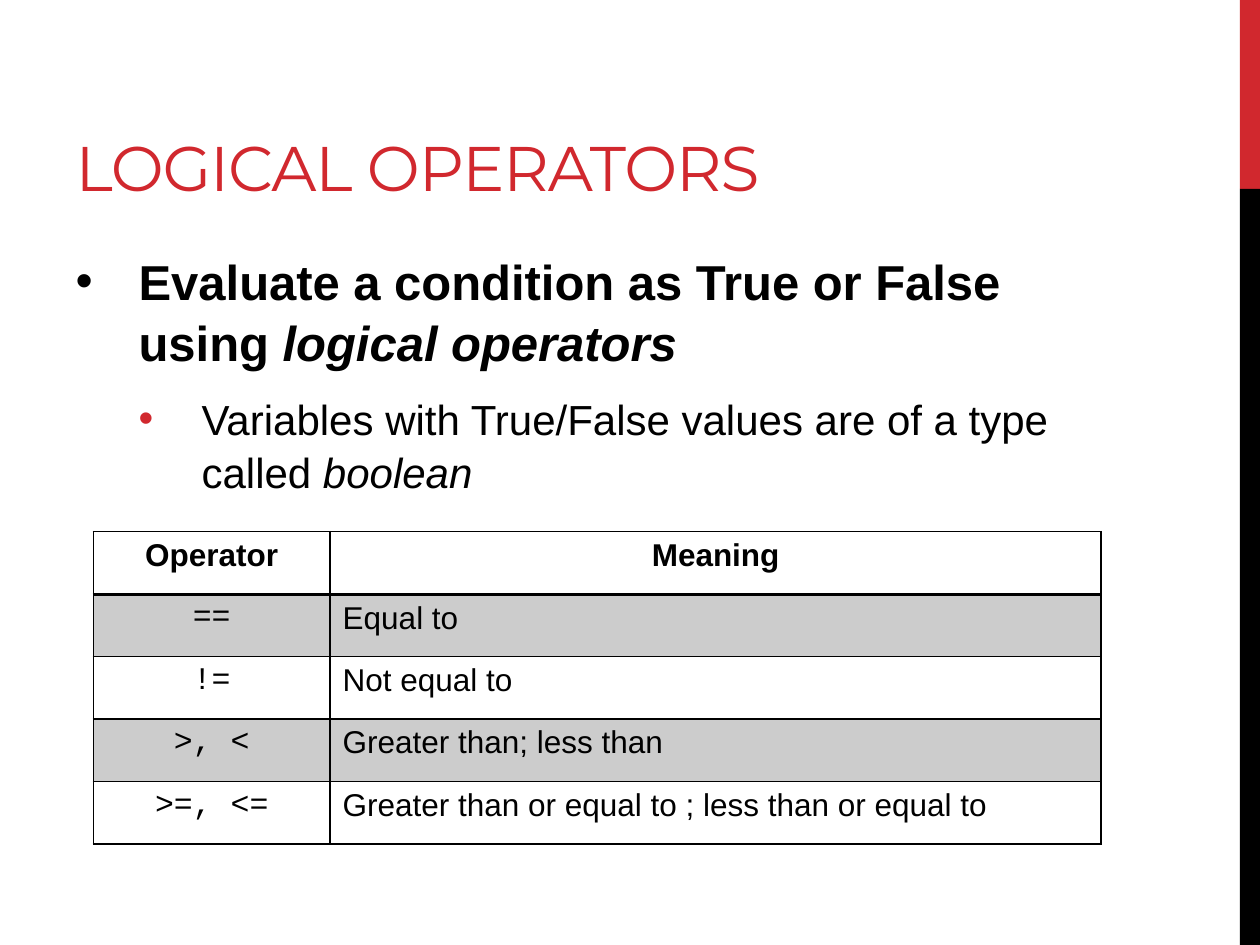
from dataclasses import dataclass
from lxml.etree import SubElement
from pptx import Presentation
from pptx.dml.color import RGBColor as RGB
from pptx.enum.text import MSO_ANCHOR as Anchor, MSO_AUTO_SIZE as AutoSize, PP_ALIGN as Align
from pptx.enum.shapes import MSO_SHAPE as Shape
from pptx.oxml.ns import qn
from pptx.util import Inches, Pt


@dataclass(frozen=True)
class Theme:
    accent: str = "D1282E"
    ink: str = "000000"
    title_font: str = "Montserrat"
    body_font: str = "Arial"
    code_font: str = "Courier New"
    title_size: int = 36
    body_sizes: tuple = (28, 24)
    table_size: int = 18
    band_alpha: int = 20
    rule: int = 1
    header_rule: int = 2


THEME = Theme()

BULLETS = [
    (("Evaluate a condition as True or False using ", "logical operators"), THEME.ink),
    (("Variables with True/False values are of a type called ", "boolean"), THEME.accent),
]
OPERATORS = [
    ("Operator", "Meaning"),
    ("==", "Equal to"),
    ("!=", "Not equal to"),
    (">, <", "Greater than; less than"),
    (">=, <=", "Greater than or equal to ; less than or equal to"),
]


def place(sp, box):
    sp.left, sp.top, sp.width, sp.height = map(Inches, box)


def style_run(r, font, size, color=THEME.ink, bold=False, italic=False):
    r.font.name = font
    r.font.size = Pt(size)
    r.font.color.rgb = RGB.from_string(color)
    r.font.bold = bold
    r.font.italic = italic


def add_side_bar(s, box):
    left, top, width, height = box
    split = height / 5
    for color, y, h in ((THEME.accent, top, split), (THEME.ink, top + split, height - split)):
        sp = s.shapes.add_shape(Shape.RECTANGLE, *map(Inches, (left, y, width, h)))
        sp.shadow.inherit = False
        sp.fill.solid()
        sp.fill.fore_color.rgb = RGB.from_string(color)
        sp.line.fill.background()


def fill_title(sp, box, text):
    place(sp, box)
    tf = sp.text_frame
    tf.text = text
    tf.auto_size = AutoSize.NONE
    tf.vertical_anchor = Anchor.BOTTOM
    p = tf.paragraphs[0]
    p.alignment = Align.LEFT
    r = p.runs[0]
    style_run(r, THEME.title_font, THEME.title_size, THEME.accent)
    r.font._element.set("spc", "-60")


def set_bullet(p, level, color):
    pPr = p._p.get_or_add_pPr()
    pPr.set("marL", str(Inches(0.5 * (level + 1))))
    pPr.set("indent", str(Inches(-0.5)))
    SubElement(SubElement(pPr, qn("a:buClr")), qn("a:srgbClr"), val=color)
    SubElement(pPr, qn("a:buFont"), typeface=THEME.body_font)
    SubElement(pPr, qn("a:buChar"), char="•")


def fill_body(sp, box):
    place(sp, box)
    tf = sp.text_frame
    tf.auto_size = AutoSize.NONE
    for level, ((lead, term), color) in enumerate(BULLETS):
        p = tf.paragraphs[0] if level == 0 else tf.add_paragraph()
        size = THEME.body_sizes[level]
        p.level = level
        p.line_spacing = 1.05
        p.space_before = Pt(size * 0.2)
        p.space_after = Pt(6 if level == 0 else 0)
        set_bullet(p, level, color)
        for text, italic in ((lead, False), (term, True)):
            r = p.add_run()
            r.text = text
            style_run(r, THEME.body_font, size, bold=level == 0, italic=italic)


def set_borders(cell, widths):
    tcPr = cell._tc.get_or_add_tcPr()
    for side, width in zip("LRTB", widths):
        ln = SubElement(tcPr, qn(f"a:ln{side}"), w=str(Pt(width)))
        SubElement(SubElement(ln, qn("a:solidFill")), qn("a:srgbClr"), val=THEME.ink)


def fill_band(cell):
    cell.fill.solid()
    cell.fill.fore_color.rgb = RGB.from_string(THEME.ink)
    color = cell._tc.tcPr.find(qn("a:solidFill")).find(qn("a:srgbClr"))
    SubElement(color, qn("a:alpha"), val=str(THEME.band_alpha * 1000))


def add_operator_table(s, box):
    table = s.shapes.add_table(len(OPERATORS), 2, *map(Inches, box)).table
    for column, width in zip(table.columns, (1.88, box[2] - 1.88)):
        column.width = Inches(width)
    for i, row in enumerate(OPERATORS):
        header = i == 0
        top = THEME.header_rule if i == 1 else THEME.rule
        bottom = THEME.header_rule if header else THEME.rule
        for j, text in enumerate(row):
            cell = table.cell(i, j)
            set_borders(cell, (THEME.rule, THEME.rule, top, bottom))
            if i % 2:
                fill_band(cell)
            else:
                cell.fill.background()
            cell.text_frame.text = text
            p = cell.text_frame.paragraphs[0]
            p.alignment = Align.CENTER if header or j == 0 else Align.LEFT
            font = THEME.code_font if j == 0 and not header else THEME.body_font
            style_run(p.runs[0], font, THEME.table_size, bold=header)


def main():
    prs = Presentation()
    prs.slide_width, prs.slide_height = Inches(10), Inches(7.5)
    s = prs.slides.add_slide(prs.slide_layouts[1])
    add_side_bar(s, (9.84, 0, 0.16, 7.5))
    fill_title(s.shapes.title, (0.5, 0.17, 8.33, 1.5), "LOGICAL OPERATORS")
    fill_body(s.placeholders[1], (0.5, 1.92, 8.33, 4.78))
    add_operator_table(s, (0.74, 4.22, 8, 2.48))
    prs.save("out.pptx")


if __name__ == "__main__":
    main()
